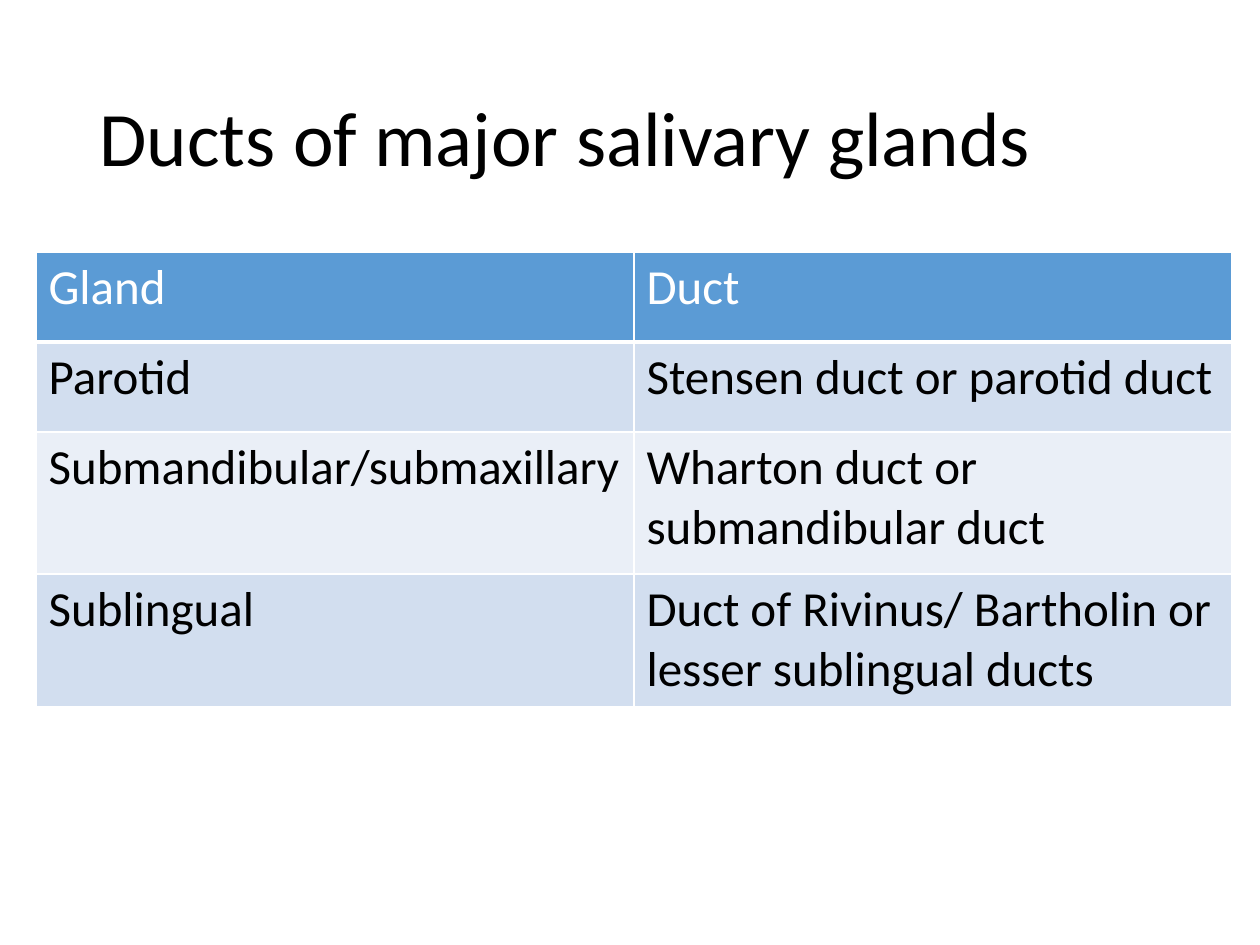
from lxml.etree import SubElement
from pptx import Presentation
from pptx.dml.color import RGBColor
from pptx.enum.text import MSO_ANCHOR, PP_ALIGN
from pptx.oxml.ns import qn
from pptx.util import Emu, Pt

EMU_PER_PX = 914400 / 126
WHITE, BLACK = "FFFFFF", "000000"
HEADER_BLUE, BAND_DARK, BAND_LIGHT = "5B9BD5", "D2DEEF", "EAEFF7"

GLAND_DUCTS = [
    ("Gland", "Duct"),
    ("Parotid", "Stensen duct or parotid duct"),
    ("Submandibular/submaxillary", "Wharton duct or submandibular duct"),
    ("Sublingual", "Duct of Rivinus/ Bartholin or lesser sublingual ducts"),
]
ROW_HEIGHTS = [90, 90, 142, 132]


def px(length):
    return Emu(round(length * EMU_PER_PX))


def color(hex_code):
    return RGBColor.from_string(hex_code)


class SlideBuilder:
    """Holds the typeface and the slide being filled."""

    def __init__(self, slide, font_name):
        self.slide = slide
        self.font_name = font_name

    def set_text(self, frame, text, size, hex_code):
        frame.text = text
        font = frame.paragraphs[0].runs[0].font
        for name, value in {"name": self.font_name, "size": Pt(size), "bold": False}.items():
            setattr(font, name, value)
        font.color.rgb = color(hex_code)

    def title(self, text, left, top, width, height):
        heading = self.slide.shapes.title
        bounds = {"left": left, "top": top, "width": width, "height": height}
        for name, value in bounds.items():
            setattr(heading, name, px(value))
        frame = heading.text_frame
        self.set_text(frame, text, 44, BLACK)
        frame.vertical_anchor = MSO_ANCHOR.MIDDLE
        frame.paragraphs[0].alignment = PP_ALIGN.LEFT
        frame.paragraphs[0].line_spacing = 0.9

    def table(self, rows, left, top, width, row_heights):
        """Add a table with a coloured header and alternating body bands."""
        grid = self.slide.shapes.add_table(
            len(rows), len(rows[0]), px(left), px(top), px(width), px(sum(row_heights))
        ).table
        for index, (texts, height) in enumerate(zip(rows, row_heights)):
            grid.rows[index].height = px(height)
            is_header = index == 0
            band = BAND_DARK if index % 2 else BAND_LIGHT
            for column, text in enumerate(texts):
                cell = grid.cell(index, column)
                self.borders(cell, 3 if is_header else 1)
                cell.fill.solid()
                cell.fill.fore_color.rgb = color(HEADER_BLUE if is_header else band)
                self.set_text(cell.text_frame, text, 28, WHITE if is_header else BLACK)

    def borders(self, cell, bottom_width):
        properties = cell._tc.get_or_add_tcPr()
        for side, points in {"L": 1, "R": 1, "T": 1, "B": bottom_width}.items():
            line = SubElement(properties, qn(f"a:ln{side}"), w=str(Pt(points)))
            fill = SubElement(line, qn("a:solidFill"))
            SubElement(fill, qn("a:srgbClr"), val=WHITE)


def main():
    deck = Presentation()
    deck.slide_width, deck.slide_height = px(1260), px(945)
    title_only = deck.slide_layouts[5]
    builder = SlideBuilder(deck.slides.add_slide(title_only), "Calibri")
    builder.title("Ducts of major salivary glands", 87, 50, 1086, 183)
    builder.table(GLAND_DUCTS, 36, 252, 1196, ROW_HEIGHTS)
    deck.save("out.pptx")


if __name__ == "__main__":
    main()
